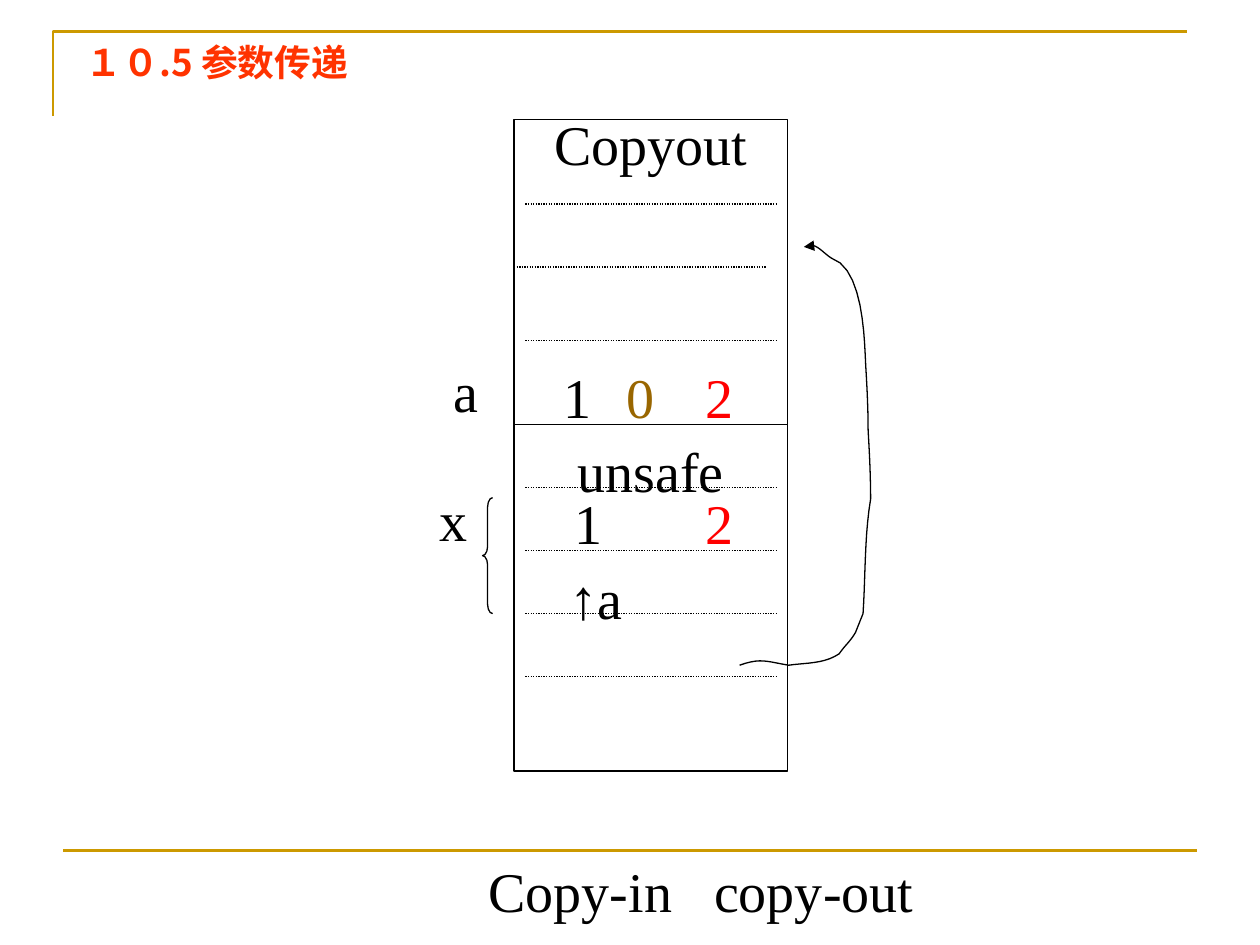
from lxml import etree
from pptx import Presentation
from pptx.dml.color import RGBColor
from pptx.enum.dml import MSO_LINE
from pptx.enum.shapes import MSO_CONNECTOR, MSO_SHAPE
from pptx.enum.text import MSO_ANCHOR, PP_ALIGN
from pptx.oxml.ns import qn
from pptx.util import Inches, Pt

LINE = MSO_CONNECTOR.STRAIGHT
RECT = MSO_SHAPE.RECTANGLE
BRACE = MSO_SHAPE.LEFT_BRACE
DOT = MSO_LINE.ROUND_DOT
TOP, MIDDLE = MSO_ANCHOR.TOP, MSO_ANCHOR.MIDDLE
LEFT, CENTER = PP_ALIGN.LEFT, PP_ALIGN.CENTER

SERIF = "Times New Roman"
SANS = "Noto Sans CJK SC"
COLORS = {
    "ink": "000000",
    "paper": "FFFFFF",
    "gold": "CC9900",
    "brown": "996600",
    "red": "FF0000",
    "title": "FF3300",
}
RULES = [
    (4.17, 1.62), (4.08, 2.12), (4.17, 2.7),
    (4.17, 3.87), (4.17, 4.37), (4.17, 4.87), (4.17, 5.37),
]
LABELS = [
    ("a", 3.5, 2.73, 0.33, "ink"),
    ("x", 3.31, 3.75, 0.58, "ink"),
    ("1", 4.33, 2.78, 0.5, "ink"),
    ("0", 4.75, 2.78, 0.67, "brown"),
    ("2", 5.42, 2.78, 0.58, "red"),
    ("1", 4.42, 3.78, 0.5, "ink"),
    ("2", 5.42, 3.78, 0.58, "red"),
]
START = (5.87, 5.28)
CURVES = [
    ((6.04, 5.22), (6.08, 5.25), (6.26, 5.28)),
    ((6.4, 5.26), (6.54, 5.27), (6.66, 5.19)),
    ((6.7, 5.13), (6.75, 5.09), (6.79, 5.02)),
    ((6.81, 4.97), (6.83, 4.92), (6.85, 4.87)),
    ((6.87, 4.57), (6.86, 4.26), (6.91, 3.96)),
    ((6.91, 3.77), (6.9, 3.59), (6.89, 3.41)),
    ((6.89, 3.23), (6.88, 3.05), (6.87, 2.88)),
    ((6.86, 2.68), (6.85, 2.13), (6.6, 2.05)),
    ((6.52, 2), (6.47, 1.91), (6.38, 1.96)),
]


def rgb(name):
    return RGBColor.from_string(COLORS[name])


def stroke(shape, color="ink", width=0.75):
    shape.line.color.rgb = rgb(color)
    shape.line.width = Pt(width)


def style(para, color="ink", size=32, face=SERIF, align=CENTER):
    para.alignment = align
    para.font.size = Pt(size)
    para.font.name = face
    para.font.color.rgb = rgb(color)


def add_rule(slide, x, y, width, color="ink", weight=0.75):
    rule = slide.shapes.add_connector(
        LINE, Inches(x), Inches(y), Inches(x + width), Inches(y))
    stroke(rule, color, weight)
    etree.SubElement(rule._element.spPr, qn("a:effectLst"))
    return rule


def add_path(slide, points, color="ink", weight=0.75):
    spots = [(Inches(x), Inches(y)) for x, y in points]
    form = slide.shapes.build_freeform(*spots[0])
    form.add_line_segments(spots[1:], close=False)
    path = form.convert_to_shape()
    path.shadow.inherit = False
    path.fill.background()
    stroke(path, color, weight)
    return path


def add_box(slide, text, y, height, inset):
    box = slide.shapes.add_shape(
        RECT, Inches(4.08), Inches(y), Inches(2.17), Inches(height))
    box.shadow.inherit = False
    box.fill.solid()
    box.fill.fore_color.rgb = rgb("paper")
    stroke(box)
    frame = box.text_frame
    frame.word_wrap = False
    frame.vertical_anchor = TOP
    frame.margin_top = Inches(inset)
    para = frame.paragraphs[0]
    para.text = text
    para.line_spacing = 0.86
    style(para)


def add_label(slide, text, x, y, width, color="ink", align=CENTER):
    box = slide.shapes.add_textbox(
        Inches(x), Inches(y), Inches(width), Inches(0.64))
    frame = box.text_frame
    frame.word_wrap = True
    frame.margin_top = Inches(0.1)
    para = frame.paragraphs[0]
    para.text = text
    style(para, color, align=align)
    return para


def add_link(slide):
    label = add_label(slide, "", 4.42, 4.37, 0.75, align=LEFT)
    for text, face in (("↑", "Arial"), ("a", SERIF)):
        run = label.add_run()
        run.text = text
        run.font.name = face


def add_foot(slide):
    para = add_label(slide, "Copy-in\tcopy-out", 3.78, 6.7, 4, align=LEFT)
    props = para._p.get_or_add_pPr()
    tabs = etree.Element(qn("a:tabLst"))
    etree.SubElement(tabs, qn("a:tab"), pos=str(Inches(1.79)), algn="l")
    props.insert(0, tabs)


def add_brace(slide):
    brace = slide.shapes.add_shape(
        BRACE, Inches(3.83), Inches(3.95), Inches(0.08), Inches(0.92))
    brace.shadow.inherit = False
    brace.fill.background()
    brace.adjustments[0] = 0.92
    stroke(brace)


def bend(start, curves, steps=10):
    points = [start]
    for curve in curves:
        knots = (points[-1], *curve)
        for step in range(1, steps + 1):
            t = step / steps
            u = 1 - t
            parts = (u ** 3, 3 * u * u * t, 3 * u * t * t, t ** 3)
            points.append(tuple(
                sum(part * knot[axis] for part, knot in zip(parts, knots))
                for axis in (0, 1)))
    return points


def add_arrow(slide):
    arrow = add_path(slide, bend(START, CURVES))
    etree.SubElement(
        arrow.line._get_or_add_ln(), qn("a:tailEnd"), type="triangle")


def set_title(slide, text):
    title = slide.shapes.title
    title.left, title.top = Inches(0.58), Inches(0.2)
    title.width, title.height = Inches(8.5), Inches(0.58)
    frame = title.text_frame
    frame.word_wrap = True
    frame.vertical_anchor = MIDDLE
    para = frame.paragraphs[0]
    para.text = text
    style(para, "title", 21, SANS, LEFT)
    para.font.bold = True
    font = para._p.pPr.find(qn("a:defRPr"))
    etree.SubElement(font, qn("a:ea"), typeface=SANS)


def main():
    deck = Presentation()
    deck.slide_width, deck.slide_height = Inches(10), Inches(7.5)
    slide = deck.slides.add_slide(deck.slide_layouts[5])
    set_title(slide, "１０.5 参数传递")
    add_path(slide, [(0.42, 0.92), (0.42, 0.25), (9.42, 0.25)], "gold", 1.5)
    add_rule(slide, 0.5, 6.75, 9, "gold", 1.5)
    add_box(slide, "Copyout", 0.95, 2.42, 0)
    add_box(slide, "unsafe", 3.37, 2.75, 0.17)
    for x, y in RULES:
        add_rule(slide, x, y, 2).line.dash_style = DOT
    for label in LABELS:
        add_label(slide, *label)
    add_link(slide)
    add_arrow(slide)
    add_brace(slide)
    add_foot(slide)
    deck.save("out.pptx")


if __name__ == "__main__":
    main()
